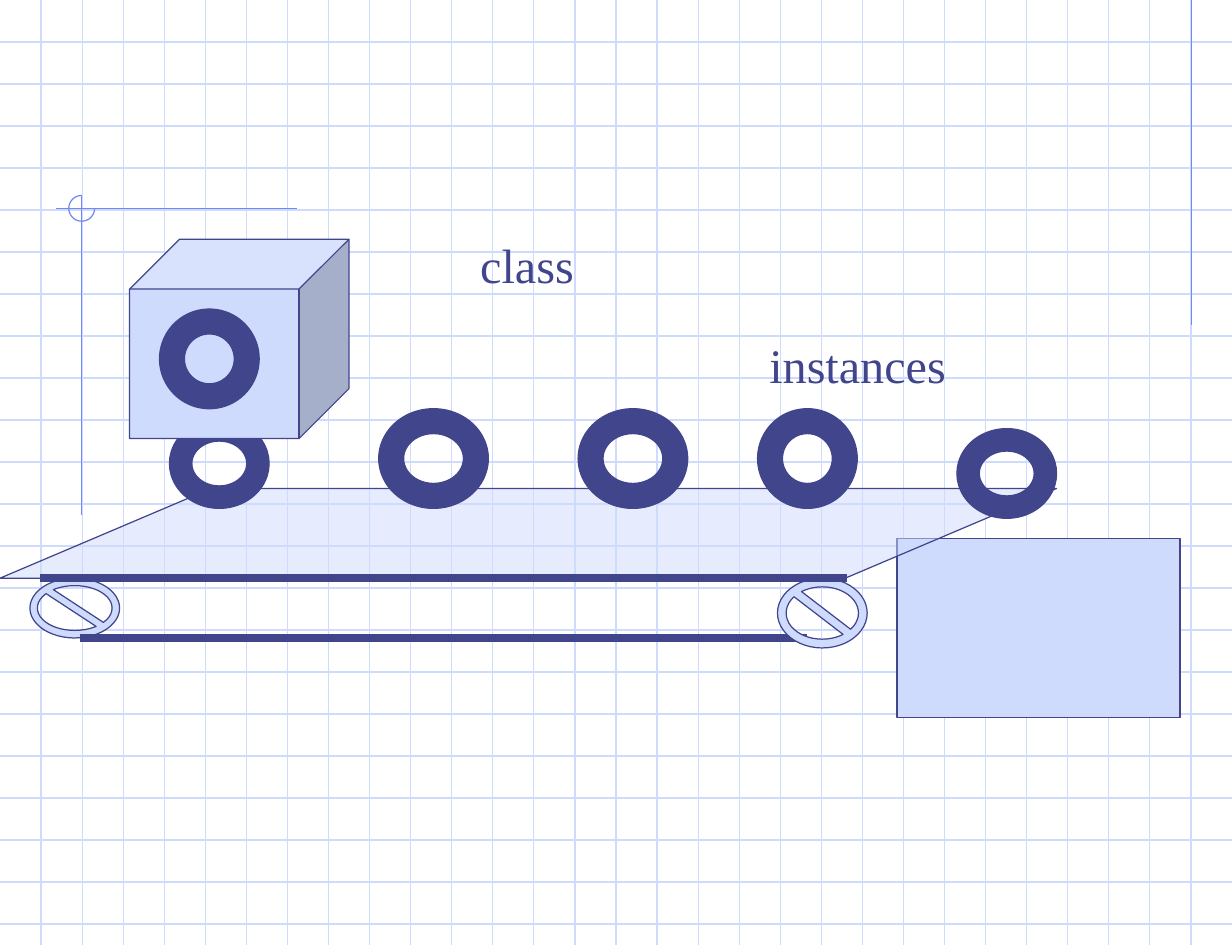
from dataclasses import dataclass

from pptx import Presentation
from pptx.dml.color import RGBColor
from pptx.enum.shapes import MSO_CONNECTOR, MSO_SHAPE
from pptx.oxml.ns import qn
from pptx.util import Pt
from lxml.etree import SubElement

EMU_PER_PX = 7620
WIDTH, HEIGHT = 1236, 948
COLUMNS, ROWS = 30, 22.5


@dataclass(frozen=True)
class Theme:
    ink: RGBColor = RGBColor(0x40, 0x45, 0x8C)
    pale: RGBColor = RGBColor(0xCF, 0xDB, 0xFD)
    accent: RGBColor = RGBColor(0x6F, 0x89, 0xF7)
    font: str = "Times New Roman"
    label_size: float = 29
    thin: float = 0.75
    thick: float = 4.5


THEME = Theme()


def px(value):
    return round(value * EMU_PER_PX)


def add_line(page, start, end, color, weight=THEME.thin):
    line = page.shapes.add_connector(
        MSO_CONNECTOR.STRAIGHT, *map(px, (*start, *end)))
    line.line.color.rgb = color
    line.line.width = Pt(weight)
    SubElement(line._element.spPr, qn("a:effectLst"))


def add_figure(page, kind, bounds, fill=THEME.pale, outline=THEME.ink, adjust=()):
    shape = page.shapes.add_shape(kind, *map(px, bounds))
    shape.shadow.inherit = False
    for index, value in enumerate(adjust):
        shape.adjustments[index] = value
    if fill is None:
        shape.fill.background()
    else:
        shape.fill.solid()
        shape.fill.fore_color.rgb = fill
    shape.line.color.rgb = outline
    shape.line.width = Pt(THEME.thin)
    return shape


def add_donut(page, bounds):
    add_figure(page, MSO_SHAPE.DONUT, bounds, THEME.ink, adjust=(0.25,))


def add_roller(page, bounds):
    add_figure(page, MSO_SHAPE.NO_SYMBOL, bounds, adjust=(0.125,))


def add_belt_top(page, bounds):
    belt = add_figure(page, MSO_SHAPE.FLOWCHART_DATA, bounds)
    color = belt._element.spPr.find(qn("a:solidFill")).find(qn("a:srgbClr"))
    SubElement(color, qn("a:alpha"), val="50000")


def add_label(page, text, bounds):
    box = page.shapes.add_textbox(*map(px, bounds))
    box.text_frame.word_wrap = True
    para = box.text_frame.paragraphs[0]
    para.text = text
    span = para.runs[0]
    span.font.name = THEME.font
    span.font.size = Pt(THEME.label_size)
    span.font.color.rgb = THEME.ink


def draw_grid(page):
    for row in range(1, int(ROWS) + 1):
        y = row * HEIGHT / ROWS
        add_line(page, (0, y), (WIDTH, y), THEME.pale)
    for column in range(1, COLUMNS):
        x = column * WIDTH / COLUMNS
        add_line(page, (x, 0), (x, HEIGHT), THEME.pale)


def draw_guides(page):
    add_line(page, (1195, 0), (1195, 326), THEME.accent)
    add_line(page, (298, 209), (56, 209), THEME.accent)
    add_line(page, (82, 196), (82, 517), THEME.accent)
    add_figure(page, MSO_SHAPE.ARC, (69, 196, 26, 26), None, THEME.accent, (0, 162))


def draw_factory(page):
    add_figure(page, MSO_SHAPE.RECTANGLE, (900, 540, 284, 180))
    add_belt_top(page, (0, 490, 1060, 90))
    add_donut(page, (170, 420, 100, 90))
    add_figure(page, MSO_SHAPE.CUBE, (130, 240, 220, 200), adjust=(0.25,))
    for bounds in (
        (160, 310, 100, 100),
        (960, 430, 100, 90),
        (380, 410, 110, 100),
        (580, 410, 110, 100),
        (760, 410, 100, 100),
    ):
        add_donut(page, bounds)
    add_roller(page, (30, 580, 90, 60))
    add_line(page, (80, 640), (810, 640), THEME.ink, THEME.thick)
    add_roller(page, (780, 580, 90, 70))
    add_line(page, (40, 580), (850, 580), THEME.ink, THEME.thick)


def main():
    deck = Presentation()
    deck.slide_width, deck.slide_height = px(WIDTH), px(HEIGHT)
    page = deck.slides.add_slide(deck.slide_layouts[6])
    draw_grid(page)
    draw_guides(page)
    draw_factory(page)
    add_label(page, "class", (470, 230, 150, 71))
    add_label(page, "instances", (760, 330, 270, 71))
    deck.save("out.pptx")


if __name__ == "__main__":
    main()
